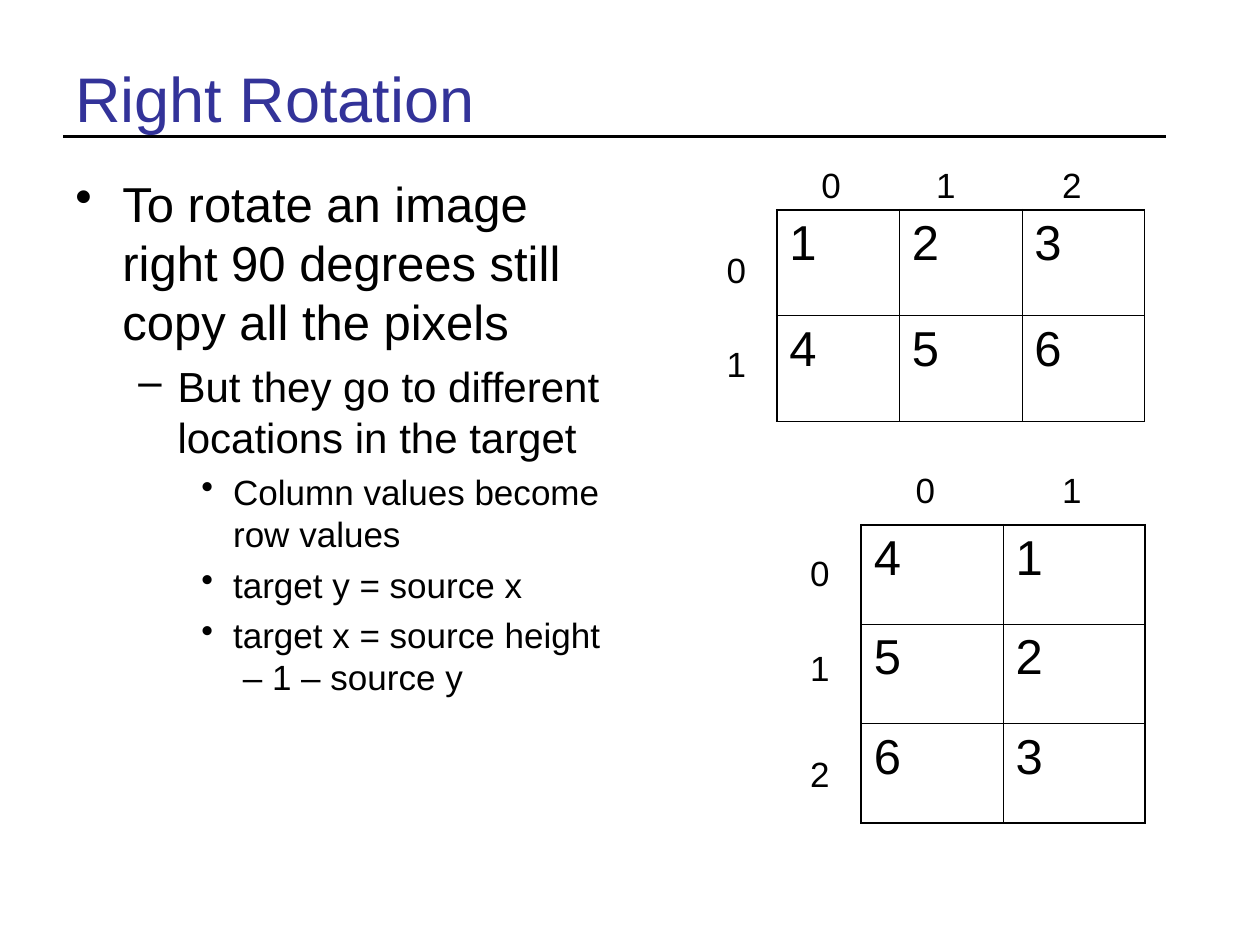
"""Build the "Right Rotation" slide: bullets beside source and target pixel grids."""
from pptx import Presentation, util as u
from pptx.dml.color import RGBColor
from pptx.enum import shapes, text
from pptx.oxml.ns import qn
from lxml import etree

COLORS = {"title": "333399", "ink": "000000"}
FONT = "Arial"
TITLE = "Right Rotation"
BULLETS = [
    (0, "To rotate an image right 90 degrees still copy all the pixels"),
    (1, "But they go to different locations in the target"),
    (2, "Column values become row values"),
    (2, "target y = source x"),
    (2, "target x = source height  – 1 – source y"),
]
LEVELS = [
    {"size": 28, "before": 7, "left": 0.95, "hang": 0.95, "char": "•"},
    {"size": 24, "before": 6, "left": 2.06, "hang": 0.79, "char": "–"},
    {"size": 20, "before": 5, "left": 3.18, "hang": 0.64, "char": "•"},
]
GRIDS = [
    {"values": ["123", "456"], "box": (15.66, 4.23, 7.41, 4.27),
     "col_labels": (3.18, [16.31, 18.62, 21.16]), "row_labels": (14.4, [4.88, 6.78])},
    {"values": ["41", "52", "63"], "box": (17.36, 10.58, 5.72, 6.01),
     "col_labels": (9.32, [18.21, 21.16]), "row_labels": (16.08, [11, 12.9, 15.04])},
]
OUTER, INNER = 1.08, 0.45


def style(p, size, color="ink", before=0):
    p.font.name, p.font.size = FONT, u.Pt(size)
    p.font.color.rgb = RGBColor.from_string(COLORS[color])
    p.space_before = u.Pt(before)


def add_text(s, box, content, size, color="ink", before=0):
    tf = s.shapes.add_textbox(*map(u.Cm, box)).text_frame
    tf.word_wrap = True
    p = tf.paragraphs[0]
    p.text = content
    style(p, size, color, before)
    return tf


def add_bullets(s, box):
    tf = s.shapes.add_textbox(*map(u.Cm, box)).text_frame
    tf.word_wrap = True
    for i, (level, content) in enumerate(BULLETS):
        p = tf.add_paragraph() if i else tf.paragraphs[0]
        look = LEVELS[level]
        p.text, p.level = content, level
        style(p, look["size"], before=look["before"])
        pPr = p._p.get_or_add_pPr()
        pPr.set("marL", str(u.Cm(look["left"])))
        pPr.set("indent", str(-u.Cm(look["hang"])))
        bullet = etree.Element(qn("a:buChar"), char=look["char"])
        pPr.find(qn("a:defRPr")).addprevious(bullet)


def add_border(tcPr, side, width):
    ln = etree.SubElement(tcPr, qn("a:ln" + side), w=str(u.Pt(width)))
    fill = etree.SubElement(ln, qn("a:solidFill"))
    etree.SubElement(fill, qn("a:srgbClr"), val=COLORS["ink"])


def add_grid(s, grid):
    values = grid["values"]
    rows, cols = len(values), len(values[0])
    x, y, w, h = grid["box"]
    table = s.shapes.add_table(rows, cols, *map(u.Cm, (x, y, w, h))).table
    table.first_row = table.horz_banding = False
    for column in table.columns:
        column.width = u.Cm(w / cols)
    for r, row in enumerate(values):
        table.rows[r].height = u.Cm(h / rows)
        for c, value in enumerate(row):
            cell = table.cell(r, c)
            p = cell.text_frame.paragraphs[0]
            p.text = value
            style(p, 28, before=7)
            edges = {"L": c == 0, "R": c == cols - 1, "T": r == 0, "B": r == rows - 1}
            for side, is_outer in edges.items():
                add_border(cell._tc.get_or_add_tcPr(), side, OUTER if is_outer else INNER)
            cell.fill.background()
    top, lefts = grid["col_labels"]
    left, tops = grid["row_labels"]
    spots = [(i, a, top) for i, a in enumerate(lefts)] + [(i, left, b) for i, b in enumerate(tops)]
    for i, a, b in spots:
        add_text(s, (a, b, 1.27, 1.11), str(i), 20, before=12.5)


def main():
    prs = Presentation()
    prs.slide_width, prs.slide_height = u.Cm(25.4), u.Cm(19.05)
    s = prs.slides.add_slide(prs.slide_layouts[6])
    rule = s.shapes.add_connector(shapes.MSO_CONNECTOR.STRAIGHT,
                                  *map(u.Cm, (1.27, 2.75, 23.5, 2.75)))
    rule.line.color.rgb = RGBColor.from_string(COLORS["ink"])
    rule.line.width = u.Pt(1.5)
    etree.SubElement(rule._element.spPr, qn("a:effectLst"))
    title = add_text(s, (1.27, 0.76, 22.86, 2.41), TITLE, 36, "title")
    title.vertical_anchor = text.MSO_ANCHOR.MIDDLE
    add_bullets(s, (1.27, 3.38, 11.23, 13.64))
    for grid in GRIDS:
        add_grid(s, grid)
    prs.save("out.pptx")


if __name__ == "__main__":
    main()
